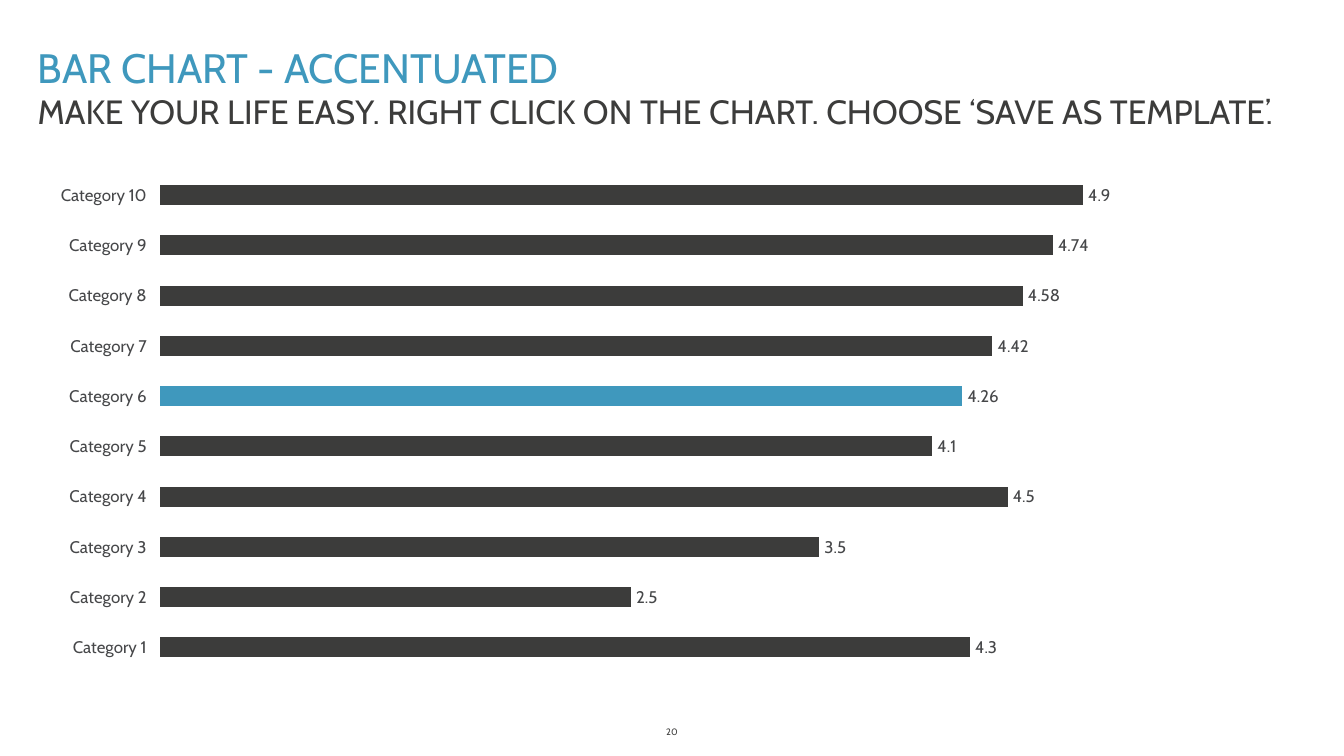
from lxml import etree
from pptx import Presentation
from pptx.chart.data import CategoryChartData
from pptx.dml.color import RGBColor
from pptx.enum import chart as chart_enum, text
from pptx.util import Inches, Pt

ACCENT = RGBColor(0x3F, 0x98, 0xBD)
DARK = RGBColor(0x3C, 0x3C, 0x3B)
LABEL = RGBColor(0x46, 0x47, 0x49)
FONT = "Cabin"
SECTION_LAYOUT = 2  # title and body text without bullets


def write(shape, words, box, size, color=DARK, align=text.PP_ALIGN.LEFT,
          anchor=text.MSO_ANCHOR.TOP):
    shape.left, shape.top, shape.width, shape.height = map(Inches, box)
    frame = shape.text_frame
    frame.word_wrap = True
    frame.auto_size = text.MSO_AUTO_SIZE.NONE
    frame.vertical_anchor = anchor
    paragraph = frame.paragraphs[0]
    paragraph.alignment = align
    paragraph.space_before = Pt(0)
    run = paragraph.add_run()
    run.text = words
    run.font.name, run.font.size, run.font.bold = FONT, Pt(size), False
    run.font.color.rgb = color


presentation = Presentation()
presentation.slide_width = Inches(10)
presentation.slide_height = presentation.slide_width * 9 // 16
slide = presentation.slides.add_slide(presentation.slide_layouts[SECTION_LAYOUT])

# Headings and page number
write(slide.shapes.title, "BAR CHART - ACCENTUATED", (0.18, 0.26, 9.57, 0.47), 22,
      color=ACCENT, anchor=text.MSO_ANCHOR.BOTTOM)
write(slide.placeholders[1],
      "MAKE YOUR LIFE EASY. RIGHT CLICK ON THE CHART. CHOOSE ‘SAVE AS TEMPLATE’.",
      (0.18, 0.63, 9.57, 0.4), 18)
write(slide.shapes.add_textbox(0, 0, 0, 0), "20", (4.53, 5.35, 0.94, 0.19), 5,
      align=text.PP_ALIGN.CENTER, anchor=text.MSO_ANCHOR.MIDDLE)

# Bar chart with one accentuated category
left, top, width, height = 0.26, 1.18, 9.54, 3.9
values = (4.3, 2.5, 3.5, 4.5, 4.1, 4.26, 4.42, 4.58, 4.74, 4.9)
data = CategoryChartData()
data.categories = [f"Category {number}" for number in range(1, len(values) + 1)]
data.add_series("Series 1", values)
chart = slide.shapes.add_chart(
    chart_enum.XL_CHART_TYPE.BAR_CLUSTERED,
    Inches(left), Inches(top), Inches(width), Inches(height), data).chart
chart.has_legend = chart.has_title = False
chart.font.name, chart.font.size = FONT, Pt(9)
chart.font.color.rgb = LABEL

category_axis, value_axis = chart.category_axis, chart.value_axis
category_axis.format.line.fill.background()
category_axis.has_major_gridlines = False
category_axis.major_tick_mark = chart_enum.XL_TICK_MARK.OUTSIDE
value_axis.minimum_scale, value_axis.maximum_scale = 0, 6
value_axis.has_major_gridlines = False
value_axis.visible = False

plot = chart.plots[0]
plot.gap_width = 150
plot.vary_by_categories = False
bars = plot.series[0]
bars.format.fill.solid()
bars.format.fill.fore_color.rgb = DARK
accent_bar = bars.points[values.index(4.26)].format.fill
accent_bar.solid()
accent_bar.fore_color.rgb = ACCENT
labels = bars.data_labels
labels.show_value = True
labels.position = chart_enum.XL_LABEL_POSITION.OUTSIDE_END

# Plot area as shares of the chart frame
namespace = "{http://schemas.openxmlformats.org/drawingml/2006/chart}"
plot_area = chart.element.find(f".//{namespace}plotArea")
for old_layout in plot_area.findall(f"{namespace}layout"):
    plot_area.remove(old_layout)
layout = etree.Element(f"{namespace}layout")
manual = etree.SubElement(layout, f"{namespace}manualLayout")
for tag, value in (("layoutTarget", "inner"), ("xMode", "edge"), ("yMode", "edge"),
                   ("x", (1.19 - left) / width), ("y", (1.265 - top) / height),
                   ("w", 8.41 / width), ("h", 3.74 / height)):
    etree.SubElement(manual, namespace + tag).set("val", str(value))
plot_area.insert(0, layout)

presentation.save("out.pptx")
